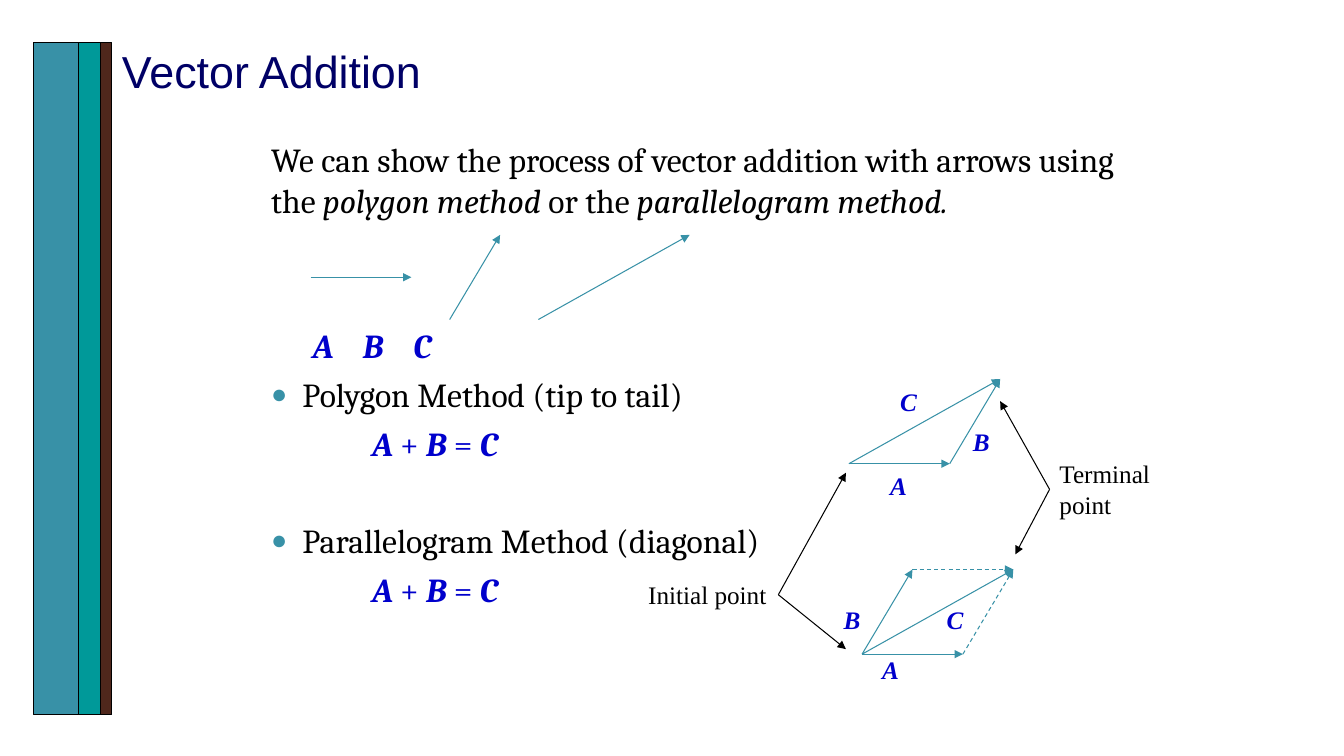
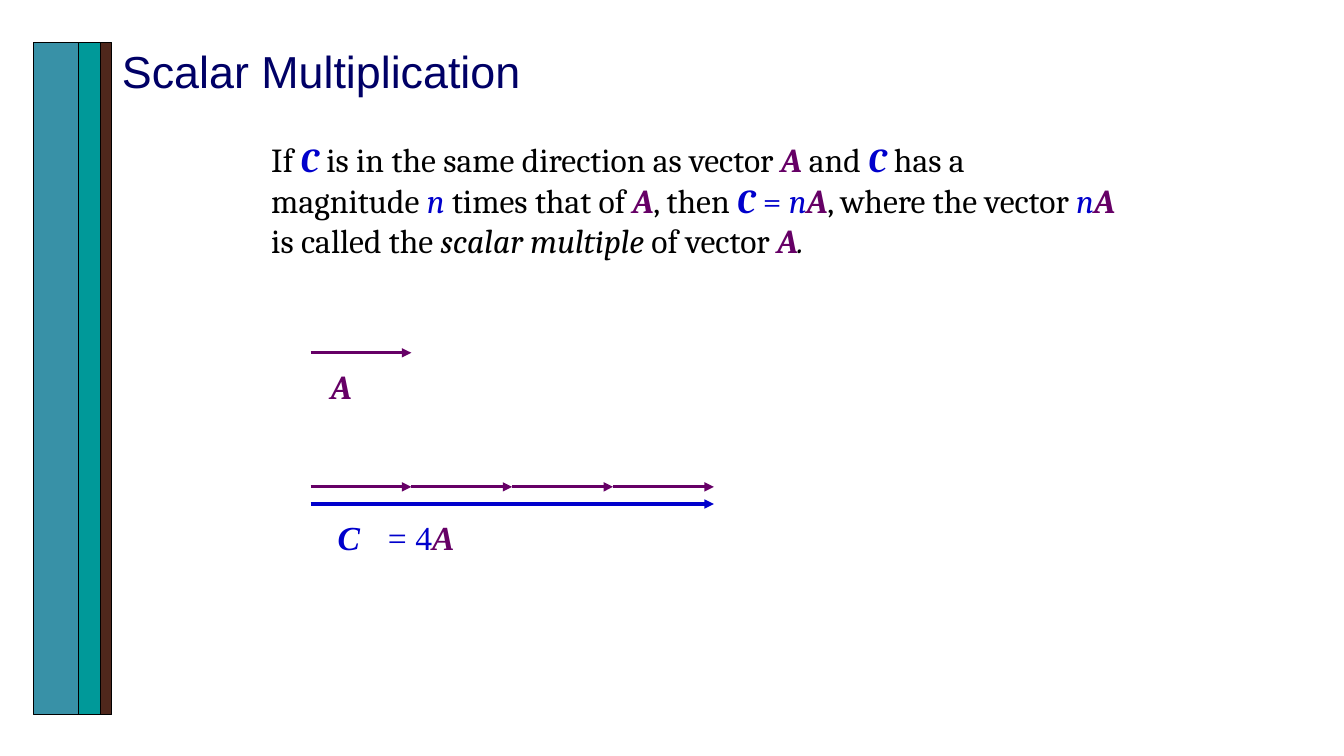
from lxml import etree
from pptx import Presentation
from pptx.dml.color import RGBColor
from pptx.enum.dml import MSO_LINE
from pptx.enum.shapes import MSO_CONNECTOR, MSO_SHAPE
from pptx.enum.text import MSO_ANCHOR, MSO_AUTO_SIZE, PP_ALIGN
from pptx.oxml.ns import qn
from pptx.util import Inches, Pt

STRAIGHT = MSO_CONNECTOR.STRAIGHT
RECT = MSO_SHAPE.RECTANGLE
DASH = MSO_LINE.DASH
LEFT = PP_ALIGN.LEFT
TOP, MIDDLE = MSO_ANCHOR.TOP, MSO_ANCHOR.MIDDLE
NO_FIT, GROW = MSO_AUTO_SIZE.NONE, MSO_AUTO_SIZE.SHAPE_TO_FIT_TEXT

HUES = {
    "black": "000000", "navy": "000066", "blue": "0000CC", "plum": "660066",
    "sea": "3891A7", "teal": "009999", "brown": "4F271C",
}
# Run styles: colour, bold, italic
RUNS = {
    "text": ("black", False, False),
    "term": ("black", False, True),
    "vec": ("blue", True, True),
    "base": ("plum", True, True),
    "num": ("blue", False, True),
    "sign": ("blue", False, False),
}
# Side bands: left, width, colour
BANDS = [(0.33, 0.67, "sea"), (0.78, 0.22, "teal"), (1, 0.11, "brown")]

LINE = 34.65  # one body line with its gap, in points
GAP = 6

# Vectors as steps across and down
A = (1, 0)
B = (0.5, -0.84)
C = (A[0] + B[0], A[1] + B[1])


def hue(name):
    return RGBColor.from_string(HUES[name])


def move(point, step):
    return point[0] + step[0], point[1] + step[1]


def place(shape, *box):
    shape.left, shape.top, shape.width, shape.height = map(Inches, box)


class Deck:
    def __init__(self):
        self.file = Presentation()
        self.file.slide_width = Inches(13.33)
        self.file.slide_height = Inches(7.5)
        self.slide = None

    def page(self, title):
        self.slide = self.file.slides.add_slide(self.file.slide_layouts[1])
        for left, width, name in BANDS:
            self.band(left, width, name)
        head = self.slide.shapes.title
        place(head, 1.11, 0.08, 10.93, 1.25)
        frame = head.text_frame
        frame.text = title
        frame.auto_size = NO_FIT
        frame.vertical_anchor = MIDDLE
        par = frame.paragraphs[0]
        par.alignment = LEFT
        font = par.runs[0].font
        font.name, font.size = "Arial", Pt(32)
        font.color.rgb = hue("navy")

    def band(self, left, width, name):
        box = self.slide.shapes.add_shape(
            RECT, Inches(left), Inches(0.42), Inches(width), Inches(6.67))
        box.shadow.inherit = False
        box.fill.solid()
        box.fill.fore_color.rgb = hue(name)
        box.line.color.rgb = hue("black")
        box.line.width = Pt(0.75)

    def add_runs(self, par, parts, face, size):
        for text, style in parts:
            run = par.add_run()
            run.text = text
            name, bold, slant = RUNS[style]
            font = run.font
            font.name, font.size = face, Pt(size)
            font.bold, font.italic = bold, slant
            font.color.rgb = hue(name)

    def body(self, rows):
        """Each row: parts, blank lines above, indent, bullet flag, tab stops."""
        box = self.slide.placeholders[1]
        place(box, 2.5, 1.33, 8.67, 5.83)
        frame = box.text_frame
        frame.auto_size = NO_FIT
        frame.vertical_anchor = TOP
        for i, (parts, skip, inset, dot, tabs) in enumerate(rows):
            par = frame.add_paragraph() if i else frame.paragraphs[0]
            self.indent(par, inset, dot, tabs)
            par.space_before = Pt(GAP + skip * LINE if i else 0)
            self.add_runs(par, parts, "Cambria", 24)

    def indent(self, par, inset, dot, tabs):
        props = par._p.get_or_add_pPr()
        props.set("marL", str(Inches(inset)))
        props.set("indent", str(Inches(-0.31 if dot else 0)))
        if dot:
            tint = etree.SubElement(props, qn("a:buClr"))
            etree.SubElement(tint, qn("a:srgbClr"), val=HUES["sea"])
            etree.SubElement(props, qn("a:buSzPct"), val="80000")
            etree.SubElement(props, qn("a:buChar"), char="●")
        else:
            etree.SubElement(props, qn("a:buNone"))
        if tabs:
            stops = etree.SubElement(props, qn("a:tabLst"))
            for stop in tabs:
                etree.SubElement(stops, qn("a:tab"), pos=str(Inches(stop)), algn="l")

    def label(self, box, rows, size=18):
        shape = self.slide.shapes.add_textbox(*map(Inches, box))
        frame = shape.text_frame
        frame.word_wrap = False
        frame.auto_size = GROW
        for i, parts in enumerate(rows):
            par = frame.add_paragraph() if i else frame.paragraphs[0]
            self.add_runs(par, parts, "Times New Roman", size)
        return shape

    def arrow(self, start, end, name="sea", width=0.75, dash=False):
        line = self.slide.shapes.add_connector(
            STRAIGHT, *map(Inches, (*start, *end)))
        line.line.color.rgb = hue(name)
        line.line.width = Pt(width)
        if dash:
            line.line.dash_style = DASH
        etree.SubElement(line.get_or_add_ln(), qn("a:tailEnd"), type="triangle")
        etree.SubElement(line._element.spPr, qn("a:effectLst"))
        return line

    def point(self, box, side, start, tips):
        for tip in tips:
            self.arrow(start, tip, "black").begin_connect(box, side)


def addition(deck):
    deck.page("Vector Addition")
    total = [("A ", "vec"), ("+", "sign"), (" B ", "vec"), ("=", "sign"), (" C", "vec")]
    deck.body([
        ([("We can show the process of vector addition with arrows using the ", "text"),
          ("polygon method", "term"), (" or the ", "text"),
          ("parallelogram method.", "term")], 0, 0.09, False, ()),
        ([("\tA\tB\tC", "vec")], 2, 0, False, (0.68, 1.83, 3.35)),
        ([("Polygon Method (tip to tail)", "text")], 0, 0.4, True, ()),
        (total, 0, 1.09, False, ()),
        ([("Parallelogram Method (diagonal)", "text")], 1, 0.4, True, ()),
        (total, 0, 1.09, False, ()),
    ])

    # Single vectors, then the polygon and the parallelogram
    poly, para = (8.42, 4.6), (8.55, 6.49)
    for start, step, dash in [
        ((3.08, 2.75), A, False), ((4.46, 3.17), B, False), ((5.34, 3.17), C, False),
        (poly, A, False), (move(poly, A), B, False), (poly, C, False),
        (para, A, False), (para, B, False), (para, C, False),
        (move(para, A), B, True), (move(para, B), A, True),
    ]:
        deck.arrow(start, move(start, step), dash=dash)

    # Vector names
    for text, left, top in [
        ("A", 8.73, 4.62), ("B", 9.55, 4.18), ("C", 8.83, 3.78),
        ("A", 8.65, 6.44), ("B", 8.27, 5.95), ("C", 9.29, 5.95),
    ]:
        deck.label((left, top, 0.37, 0.4), [[(text, "vec")]])

    # Notes with pointers
    first = deck.label((6.33, 5.7, 1.39, 0.4), [[("Initial point", "text")]])
    deck.point(first, 3, (7.72, 5.9), [(8.39, 4.69), (8.39, 6.44)])
    last = deck.label((10.41, 4.5, 1.17, 0.71),
                      [[("Terminal", "text")], [("point", "text")]])
    deck.point(last, 1, (10.41, 4.85), [(9.92, 3.98), (10.07, 5.5)])


def scaling(deck):
    deck.page("Scalar Multiplication")
    deck.body([
        ([("If ", "text"), ("C", "vec"),
          (" is in the same direction as vector ", "text"), ("A", "base"),
          (" and ", "text"), ("C", "vec"), (" has a magnitude ", "text"),
          ("n", "num"), (" times that of ", "text"), ("A", "base"),
          (", then ", "text"), ("C", "vec"), (" = ", "sign"), ("n", "num"),
          ("A", "base"), (", where the vector ", "text"), ("n", "num"),
          ("A", "base"), (" is called the ", "text"),
          ("scalar multiple ", "term"), ("of vector ", "text"),
          ("A", "base"), (".", "term")], 0, 0.09, False, ()),
        ([("A", "base")], 2, 0.68, False, ()),
    ])

    # One vector, then four in a row above their sum
    left, times = 3.08, 4
    starts = [(left, 3.5)] + [(left + i * A[0], 4.83) for i in range(times)]
    for start in starts:
        deck.arrow(start, move(start, A), "plum", 2.25)
    deck.arrow((left, 5), (left + times * A[0], 5), "blue", 2.25)
    deck.label((3.25, 5.08, 0.51, 0.5), [[("C", "vec")]], 24)
    deck.label((3.75, 5.08, 1.1, 0.5), [[("= 4", "sign"), ("A", "base")]], 24)


def main():
    deck = Deck()
    addition(deck)
    scaling(deck)
    deck.file.save("out.pptx")


if __name__ == "__main__":
    main()
